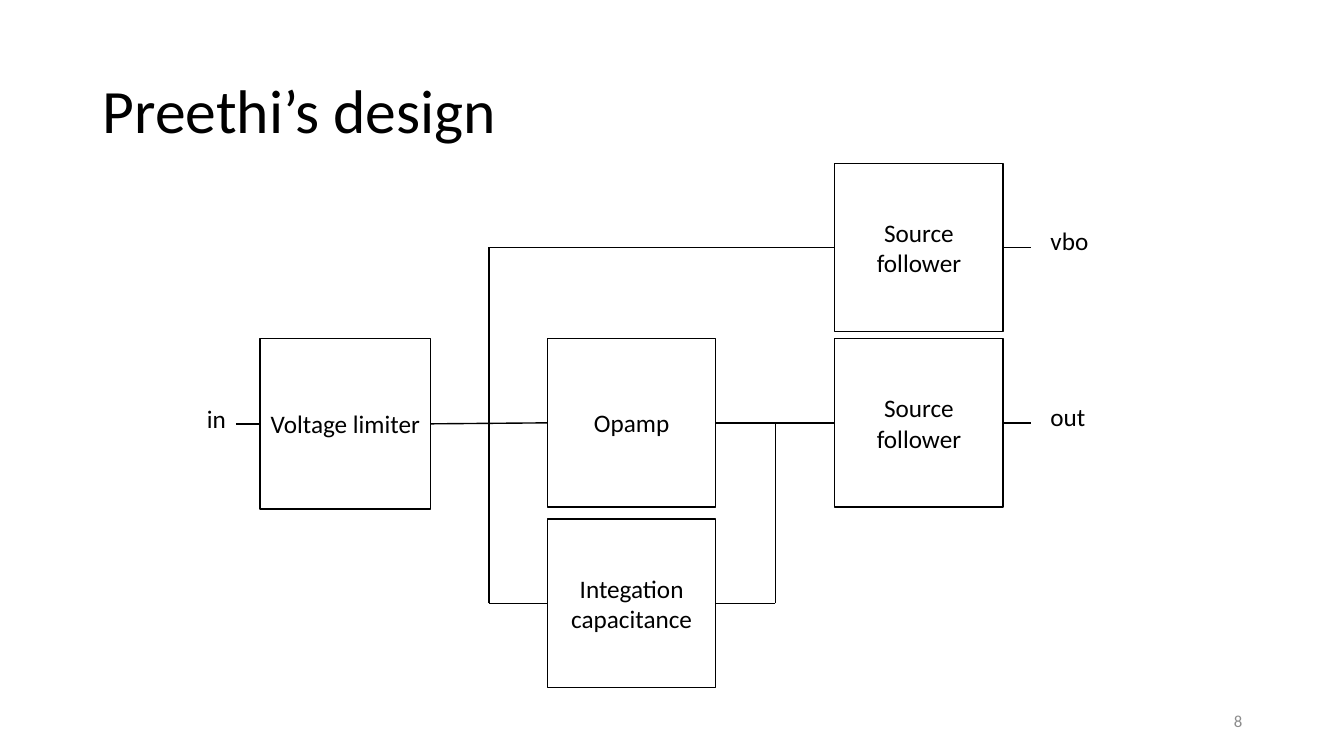
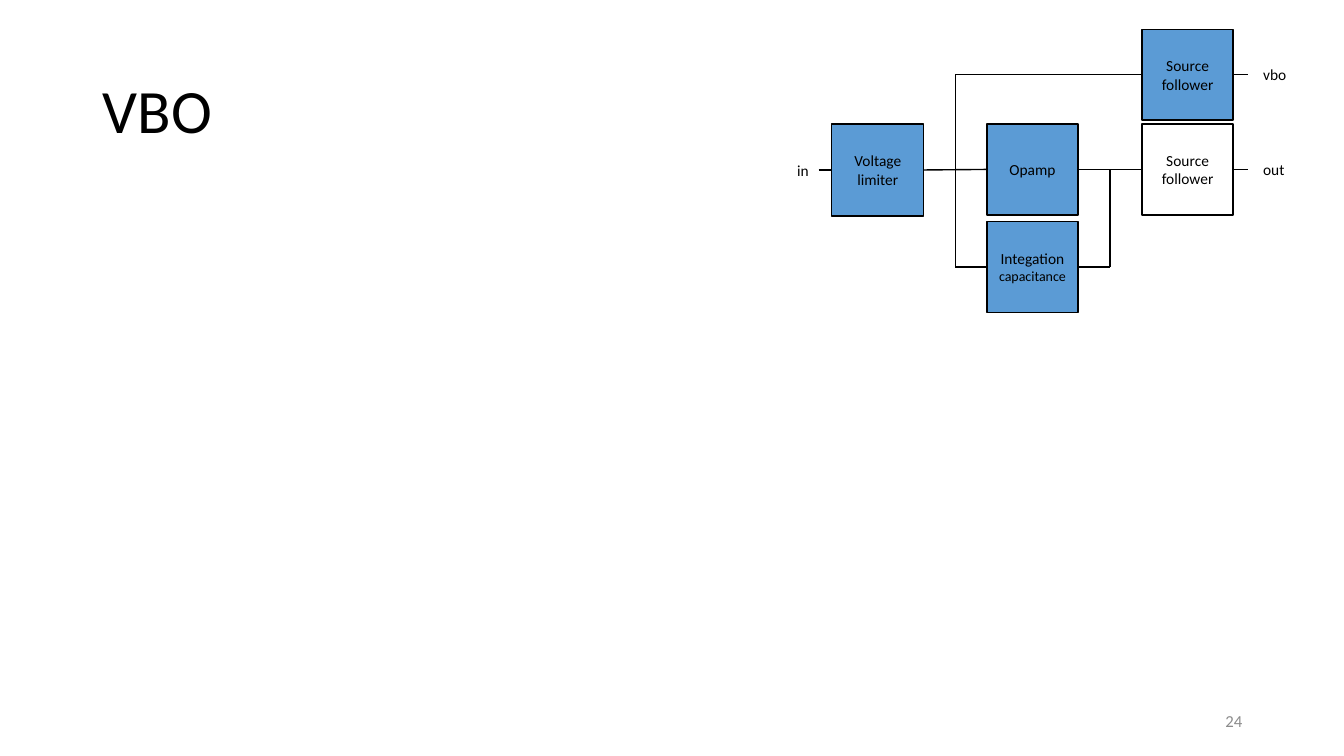
from dataclasses import dataclass
from typing import NamedTuple, Union

from lxml import etree
from pptx import Presentation
from pptx.dml.color import RGBColor
from pptx.enum import shapes, text
from pptx.oxml import ns
from pptx.util import Inches, Pt


@dataclass(frozen=True)
class Theme:
    font: str = "Calibri"
    ink: RGBColor = RGBColor(0, 0, 0)
    paper: RGBColor = RGBColor(255, 255, 255)
    active: RGBColor = RGBColor(0x5B, 0x9B, 0xD5)
    muted: RGBColor = RGBColor(0x8C, 0x8C, 0x8C)
    title_size: float = 44
    number_size: float = 12
    line_width: float = 1


class Block(NamedTuple):
    lines: tuple[str, ...]
    left: float
    top: float
    side: float = 1.67


class Port(NamedTuple):
    """A connection site on a block: 1 left, 3 right."""
    block: str
    site: int


class Point(NamedTuple):
    x: float
    y: float


class Wire(NamedTuple):
    start: Union[Port, Point]
    end: Union[Port, Point]


class Label(NamedTuple):
    text: str
    left: float
    top: float
    width: float
    align: text.PP_ALIGN = text.PP_ALIGN.LEFT


@dataclass(frozen=True)
class Diagram:
    """Place, scale and type sizes of the circuit on one slide."""
    left: float
    top: float
    scale: float
    size: float
    capacitance_size: float
    active: tuple[str, ...] = ()

    def x(self, value: float) -> int:
        return Inches(self.left + value * self.scale)

    def y(self, value: float) -> int:
        return Inches(self.top + value * self.scale)

    def length(self, value: float) -> int:
        return Inches(value * self.scale)


THEME = Theme()
LEFT, RIGHT = 1, 3

# Circuit geometry in inches at full scale, from the limiter's top left corner.
COLUMN = 2.85
UPPER, LOWER = -1.74, 1.79
MID = 0.835
BUS, TAP = 2.27, 5.11
STUB_END = 7.65
LABEL_LEFT, LABEL_TOP, LABEL_HEIGHT = 7.74, 0.57, 0.53

BLOCKS = {
    "limiter": Block(("Voltage limiter",), 0, 0, 1.69),
    "opamp": Block(("Opamp",), COLUMN, 0),
    "out": Block(("Source follower",), 2 * COLUMN, 0),
    "vbo": Block(("Source", "follower"), 2 * COLUMN, UPPER),
    "capacitance": Block(("Integation", "capacitance"), COLUMN, LOWER),
}
WIRES = (
    Wire(Port("limiter", RIGHT), Port("opamp", LEFT)),
    Wire(Point(BUS, LOWER + MID), Point(BUS, UPPER + MID)),
    Wire(Point(BUS, LOWER + MID), Port("capacitance", LEFT)),
    Wire(Point(BUS, UPPER + MID), Port("vbo", LEFT)),
    Wire(Port("opamp", RIGHT), Port("out", LEFT)),
    Wire(Point(TAP, LOWER + MID), Point(TAP, MID)),
    Wire(Port("capacitance", RIGHT), Point(TAP, LOWER + MID)),
    Wire(Port("vbo", RIGHT), Point(STUB_END, UPPER + MID)),
    Wire(Port("out", RIGHT), Point(STUB_END, MID)),
    Wire(Point(-0.24, 0.845), Port("limiter", LEFT)),
)
LABELS = (
    Label("vbo", LABEL_LEFT, UPPER + LABEL_TOP, 1.12),
    Label("out", LABEL_LEFT, LABEL_TOP, 1.12),
    Label("in", -0.87, 0.59, 0.63, text.PP_ALIGN.RIGHT),
)


def write(tf, *lines: str, size: float, color: RGBColor = THEME.ink,
          align: text.PP_ALIGN = text.PP_ALIGN.LEFT,
          anchor: text.MSO_ANCHOR = text.MSO_ANCHOR.MIDDLE,
          spacing: float = 1.0, sizes: dict[str, float] | None = None) -> None:
    """Fill a text frame, one paragraph a line; sizes overrides single lines."""
    tf.word_wrap = True
    tf.vertical_anchor = anchor
    for i, line in enumerate(lines):
        p = tf.add_paragraph() if i else tf.paragraphs[0]
        p.alignment = align
        p.line_spacing = spacing
        r = p.add_run()
        r.text = line
        r.font.name = THEME.font
        r.font.size = Pt((sizes or {}).get(line, size))
        r.font.color.rgb = color


def add_block(s, d: Diagram, name: str, block: Block):
    sp = s.shapes.add_shape(shapes.MSO_SHAPE.RECTANGLE, d.x(block.left), d.y(block.top),
                            d.length(block.side), d.length(block.side))
    sp.shadow.inherit = False
    sp.fill.solid()
    sp.fill.fore_color.rgb = THEME.active if name in d.active else THEME.paper
    sp.line.color.rgb = THEME.ink
    sp.line.width = Pt(THEME.line_width)
    tf = sp.text_frame
    tf.margin_left = tf.margin_right = Inches(0.08)
    write(tf, *block.lines, size=d.size, align=text.PP_ALIGN.CENTER,
          sizes={"capacitance": d.capacitance_size})
    return sp


def locate(end: Union[Port, Point]) -> Point:
    if isinstance(end, Point):
        return end
    block = BLOCKS[end.block]
    x = block.left + (block.side if end.site == RIGHT else 0)
    return Point(x, block.top + block.side / 2)


def add_wire(s, d: Diagram, wire: Wire, boxes: dict) -> None:
    start, end = locate(wire.start), locate(wire.end)
    line = s.shapes.add_connector(shapes.MSO_CONNECTOR.STRAIGHT, d.x(start.x), d.y(start.y),
                                  d.x(end.x), d.y(end.y))
    line.line.color.rgb = THEME.ink
    line.line.width = Pt(THEME.line_width)
    etree.SubElement(line._element.spPr, ns.qn("a:effectLst"))
    if isinstance(wire.start, Port):
        line.begin_connect(boxes[wire.start.block], wire.start.site)
    if isinstance(wire.end, Port):
        line.end_connect(boxes[wire.end.block], wire.end.site)


def add_circuit(s, d: Diagram) -> None:
    boxes = {name: add_block(s, d, name, block) for name, block in BLOCKS.items()}
    for wire in WIRES:
        add_wire(s, d, wire, boxes)
    for label in LABELS:
        box = s.shapes.add_textbox(d.x(label.left), d.y(label.top),
                                   d.length(label.width), d.length(LABEL_HEIGHT))
        write(box.text_frame, label.text, size=d.size, align=label.align,
              anchor=text.MSO_ANCHOR.TOP)


def add_slide(prs, title: str, number: int, d: Diagram) -> None:
    s = prs.slides.add_slide(prs.slide_layouts.get_by_name("Title Only"))
    sp = s.shapes.title
    sp.left, sp.top, sp.width, sp.height = (Inches(v) for v in (0.92, 0.4, 11.5, 1.45))
    write(sp.text_frame, title, size=THEME.title_size, spacing=0.9)
    box = s.shapes.add_textbox(Inches(9.42), Inches(6.95), Inches(3), Inches(0.4))
    write(box.text_frame, str(number), size=THEME.number_size, color=THEME.muted,
          align=text.PP_ALIGN.RIGHT)
    add_circuit(s, d)


def main() -> None:
    prs = Presentation()
    prs.slide_width, prs.slide_height = Inches(13.33), Inches(7.5)
    add_slide(prs, "Preethi’s design", 8, Diagram(2.58, 3.36, 1, 18, 18))
    add_slide(prs, "VBO", 24, Diagram(8.25, 1.23, 0.54, 11, 10,
                                      ("limiter", "opamp", "vbo", "capacitance")))
    prs.save("out.pptx")


if __name__ == "__main__":
    main()
